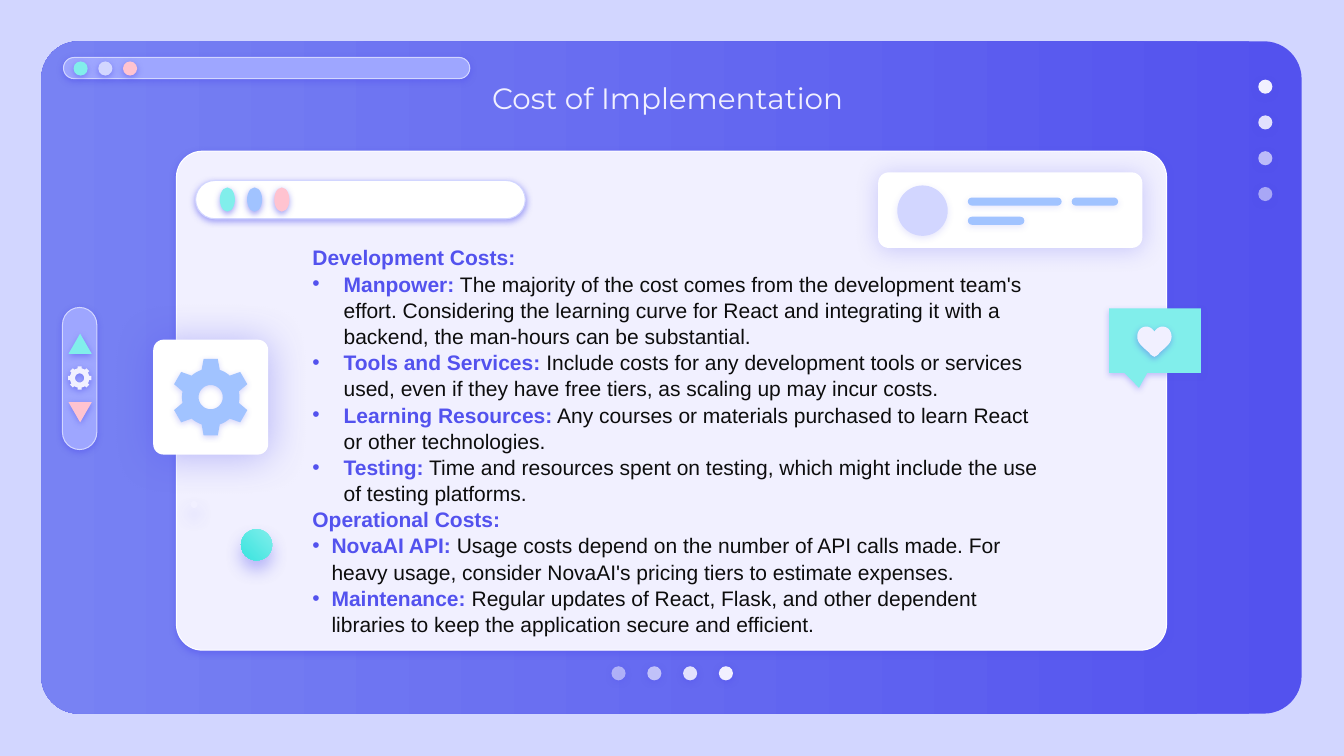
"""Build the cost of implementation slide with its decorative app window."""
import math
from lxml import etree
from pptx import Presentation
from pptx import util as u
from pptx.dml.color import RGBColor
from pptx.enum import shapes, text
from pptx.oxml import ns

THEME = dict(
    violet="5352EE", periwinkle="7882F3", lilac="9EA6FF", lavender="D2D6FF",
    mist="F1F0FF", white="FFFFFF", ink="0D0D0D", aqua="81EEEB", teal="3AE4DF",
    sky="A1C3FF", pink="FFC3D0", title_font="Montserrat", body_font="Arial",
    title_size=21, body_size=15, line_width=0.75, line_spacing=1.04)

TITLE = "Cost of Implementation"
SECTIONS = [
    ("Development Costs:", 0.31, [
        ("Manpower:", "The majority of the cost comes from the development team's effort. "
         "Considering the learning curve for React and integrating it with a backend, "
         "the man-hours can be substantial."),
        ("Tools and Services:", "Include costs for any development tools or services used, "
         "even if they have free tiers, as scaling up may incur costs."),
        ("Learning Resources:", "Any courses or materials purchased to learn React "
         "or other technologies."),
        ("Testing:", "Time and resources spent on testing, which might include the use "
         "of testing platforms."),
    ]),
    ("Operational Costs:", 0.19, [
        ("NovaAI API:", "Usage costs depend on the number of API calls made. For heavy usage, "
         "consider NovaAI's pricing tiers to estimate expenses."),
        ("Maintenance:", "Regular updates of React, Flask, and other dependent libraries "
         "to keep the application secure and efficient."),
    ]),
]

PAGER_ALPHAS = (100, 90, 67, 54)
TOP_BAR_DOTS = ("aqua", "lavender", "pink")
SEARCH_DOTS = ("aqua", "sky", "pink")
CARD_LINES = [(9.6, 1.96, 0.93), (10.63, 1.96, 0.46), (9.6, 2.15, 0.56)]
HEART_HALF = [
    ((0, 0.3), (-0.02, 0.29), (-0.04, 0.28), (-0.05, 0.26)),
    ((-0.05, 0.26), (-0.12, 0.2), (-0.17, 0.16), (-0.17, 0.1)),
    ((-0.17, 0.1), (-0.17, 0.04), (-0.13, 0), (-0.08, 0)),
    ((-0.08, 0), (-0.05, 0), (-0.02, 0.02), (0, 0.05)),
]
SOFT = (50, 4.5, 1.5)
FLOATING = (38, 12.4, 6.8)
KIND = shapes.MSO_SHAPE


def rgb(name):
    return RGBColor.from_string(THEME[name])


def set_alpha(color_node, percent):
    etree.SubElement(color_node, ns.qn("a:alpha")).set("val", str(percent * 1000))


def style(shape, fill, shadow=SOFT, line=None, alpha=100):
    shape.shadow.inherit = False
    if isinstance(fill, tuple):
        start, end, angle = fill
        shape.fill.gradient()
        shape.fill.gradient_angle = angle
        for stop, name in zip(shape.fill.gradient_stops, (start, end)):
            stop.color.rgb = rgb(name)
    else:
        shape.fill.solid()
        shape.fill.fore_color.rgb = rgb(fill)
    if alpha < 100:
        set_alpha(shape._element.spPr.find(".//" + ns.qn("a:srgbClr")), alpha)
    if line:
        shape.line.color.rgb = rgb(line)
        shape.line.width = u.Pt(THEME["line_width"])
    else:
        shape.line.fill.background()
    if shadow:
        opacity, blur, distance = shadow
        effects = shape._element.spPr.find(ns.qn("a:effectLst"))
        outer = etree.SubElement(
            effects, ns.qn("a:outerShdw"), blurRad=str(u.Pt(blur)), dist=str(u.Pt(distance)),
            dir="5400000", algn="bl", rotWithShape="0")
        tint = etree.SubElement(outer, ns.qn("a:srgbClr"), val=THEME["violet"])
        set_alpha(tint, opacity)


def add(kind, box, fill, adjust=(), **look):
    shape = slide.shapes.add_shape(kind, *map(u.Inches, box))
    for index, value in enumerate(adjust):
        shape.adjustments[index] = value
    style(shape, fill, **look)
    return shape


def outline(contours, center, fill, shadow):
    placed = [[(u.Inches(center[0] + x), u.Inches(center[1] + y)) for x, y in contour]
              for contour in contours]
    builder = slide.shapes.build_freeform(*placed[0][0])
    builder.add_line_segments(placed[0][1:], close=True)
    for contour in placed[1:]:
        builder.move_to(*contour[0])
        builder.add_line_segments(contour[1:], close=True)
    style(builder.convert_to_shape(), fill, shadow)


def polar(radius, degrees):
    angle = math.radians(degrees)
    return radius * math.sin(angle), -radius * math.cos(angle)


def gear(center, fill, shadow, teeth, tip, tip_half, base, base_half, hole):
    step = 360 / teeth
    rim = []
    for tooth in range(teeth):
        middle = tooth * step
        rim += [polar(base, middle - base_half), polar(tip, middle - tip_half),
                polar(tip, middle + tip_half)]
        valley = step - 2 * base_half
        rim += [polar(base, middle + base_half + valley * part / 4) for part in range(4)]
    bore = [polar(hole, -10 * turn) for turn in range(36)]
    outline([rim, bore], center, fill, shadow)


def bezier(points, steps=12):
    for step in range(steps):
        t = step / steps
        weights = ((1 - t) ** 3, 3 * t * (1 - t) ** 2, 3 * t * t * (1 - t), t ** 3)
        yield tuple(sum(w * p[axis] for w, p in zip(weights, points)) for axis in (0, 1))


def text_frame(box):
    frame = slide.shapes.add_textbox(*map(u.Inches, box)).text_frame
    frame.word_wrap = True
    return frame


def format_run(run, font, size, color, bold=False):
    run.font.name, run.font.size, run.font.bold = THEME[font], u.Pt(THEME[size]), bold
    run.font.color.rgb = rgb(color)


def write_paragraph(paragraph, label, detail="", indent=0):
    paragraph.line_spacing = THEME["line_spacing"]
    for words, color, bold in ((label, "violet", True), (detail, "ink", False)):
        if words:
            run = paragraph.add_run()
            run.text = words
            format_run(run, "body_font", "body_size", color, bold)
    if indent:
        props = paragraph._p.get_or_add_pPr()
        props.set("marL", str(u.Inches(indent)))
        props.set("indent", str(-u.Inches(indent)))
        etree.SubElement(props, ns.qn("a:buFont"), typeface=THEME["body_font"])
        etree.SubElement(props, ns.qn("a:buChar"), char="•")


deck = Presentation()
deck.slide_width, deck.slide_height = u.Inches(13.33), u.Inches(7.5)
slide = deck.slides.add_slide(deck.slide_layouts[6])
slide.background.fill.solid()
slide.background.fill.fore_color.rgb = rgb("lavender")

add(KIND.ROUNDED_RECTANGLE, (0.41, 0.41, 12.5, 6.67), ("violet", "periwinkle", 180),
    [0.056], shadow=None)
for index, opacity in enumerate(PAGER_ALPHAS):
    shift = index * 0.355
    for left, top in ((12.48, 0.79 + shift), (7.13 - shift, 6.61)):
        add(KIND.OVAL, (left, top, 0.14, 0.14), "mist", alpha=opacity)
add(KIND.ROUNDED_RECTANGLE, (0.63, 0.57, 4.03, 0.21), "lilac", [0.5], line="lavender")
for index, color in enumerate(TOP_BAR_DOTS):
    add(KIND.OVAL, (0.73 + index * 0.245, 0.61, 0.14, 0.14), color)

add(KIND.ROUNDED_RECTANGLE, (1.75, 1.5, 9.82, 4.95), "mist", [0.052], line="white")
add(KIND.ROUNDED_RECTANGLE, (1.94, 1.79, 3.27, 0.38), "white", [0.5], line="lavender")
for index, color in enumerate(SEARCH_DOTS):
    add(KIND.OVAL, (2.18 + index * 0.27, 1.86, 0.15, 0.24), color)

add(KIND.ROUNDED_RECTANGULAR_CALLOUT, (11, 3.06, 0.91, 0.64), "aqua",
    [-0.174, 0.731, 0], shadow=(31, 4.5, 1.5))
left_half = [point for curve in HEART_HALF for point in bezier(curve)] + [(0, 0.05)]
right_half = [(-x, y) for x, y in left_half[-2:0:-1]]
outline([left_half + right_half], (11.45, 3.24), "mist", (38, 4.5, 1.5))

heading = text_frame((4.75, 0.82, 3.82, 0.29))
heading.margin_left = heading.margin_right = u.Inches(0.13)
heading.margin_top = heading.margin_bottom = u.Inches(0.13)
heading.vertical_anchor = text.MSO_ANCHOR.MIDDLE
heading.text = TITLE
format_run(heading.paragraphs[0].runs[0], "title_font", "title_size", "mist")

add(KIND.ROUNDED_RECTANGLE, (8.71, 1.71, 2.62, 0.75), "white", [0.14], shadow=(25, 16.9, 1.5))
add(KIND.OVAL, (8.9, 1.84, 0.5, 0.5), "lavender", shadow=(13, 4.5, 1.5))
for left, top, width in CARD_LINES:
    add(KIND.ROUNDED_RECTANGLE, (left, top, width, 0.08), "sky", [0.5], shadow=(13, 4.5, 1.5))

add(KIND.ROUNDED_RECTANGLE, (1.52, 3.37, 1.14, 1.14), "white", [0.09], shadow=(38, 29.2, 1.5))
gear((2.09, 3.94), "sky", (23, 4.5, 1.5), 6, 0.385, 10.5, 0.285, 18.4, 0.12)
add(KIND.OVAL, (2.39, 5.25, 0.31, 0.31), ("aqua", "teal", 225), shadow=FLOATING)
add(KIND.OVAL, (1.89, 4.97, 0.07, 0.07), "mist", shadow=FLOATING)

add(KIND.ROUNDED_RECTANGLE, (0.62, 3.05, 0.34, 1.41), "lilac", [0.5], line="lavender")
add(KIND.ISOSCELES_TRIANGLE, (0.68, 3.31, 0.23, 0.2), "aqua")
add(KIND.ISOSCELES_TRIANGLE, (0.68, 3.99, 0.23, 0.2), "pink").rotation = 180
gear((0.79, 3.75), "mist", (52, 4.5, 1.5), 8, 0.117, 10, 0.097, 12, 0.045)

body = text_frame((3, 2.37, 7.45, 3.89))
body.auto_size = text.MSO_AUTO_SIZE.SHAPE_TO_FIT_TEXT
for number, (section, indent, costs) in enumerate(SECTIONS):
    write_paragraph(body.add_paragraph() if number else body.paragraphs[0], section)
    for label, detail in costs:
        write_paragraph(body.add_paragraph(), label, " " + detail, indent)

deck.save("out.pptx")
